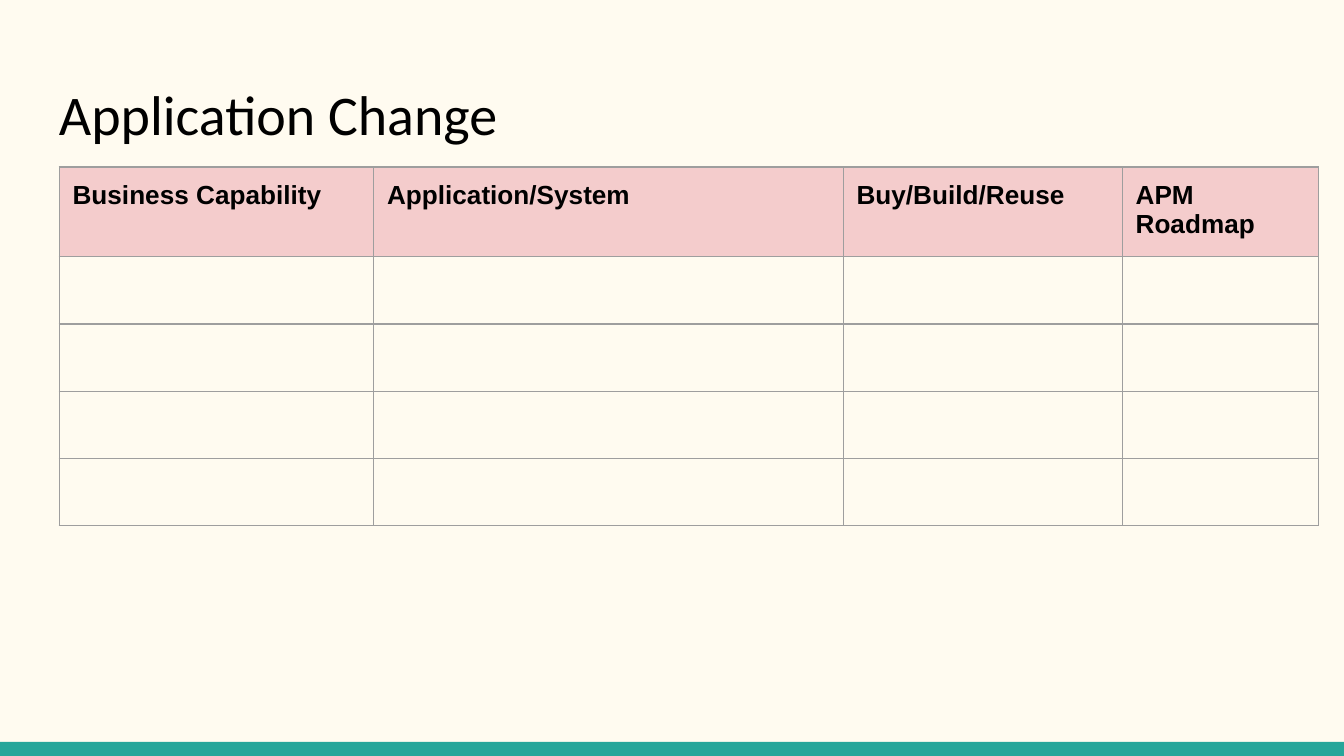
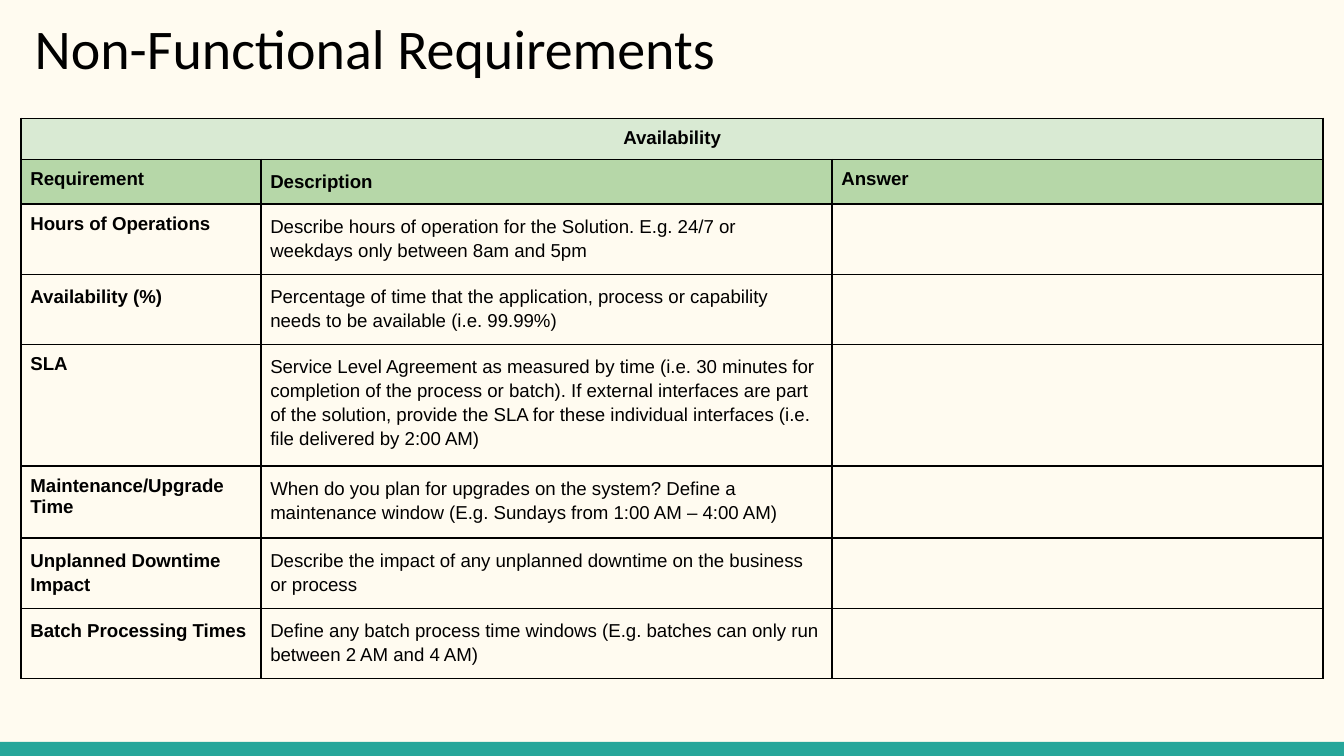
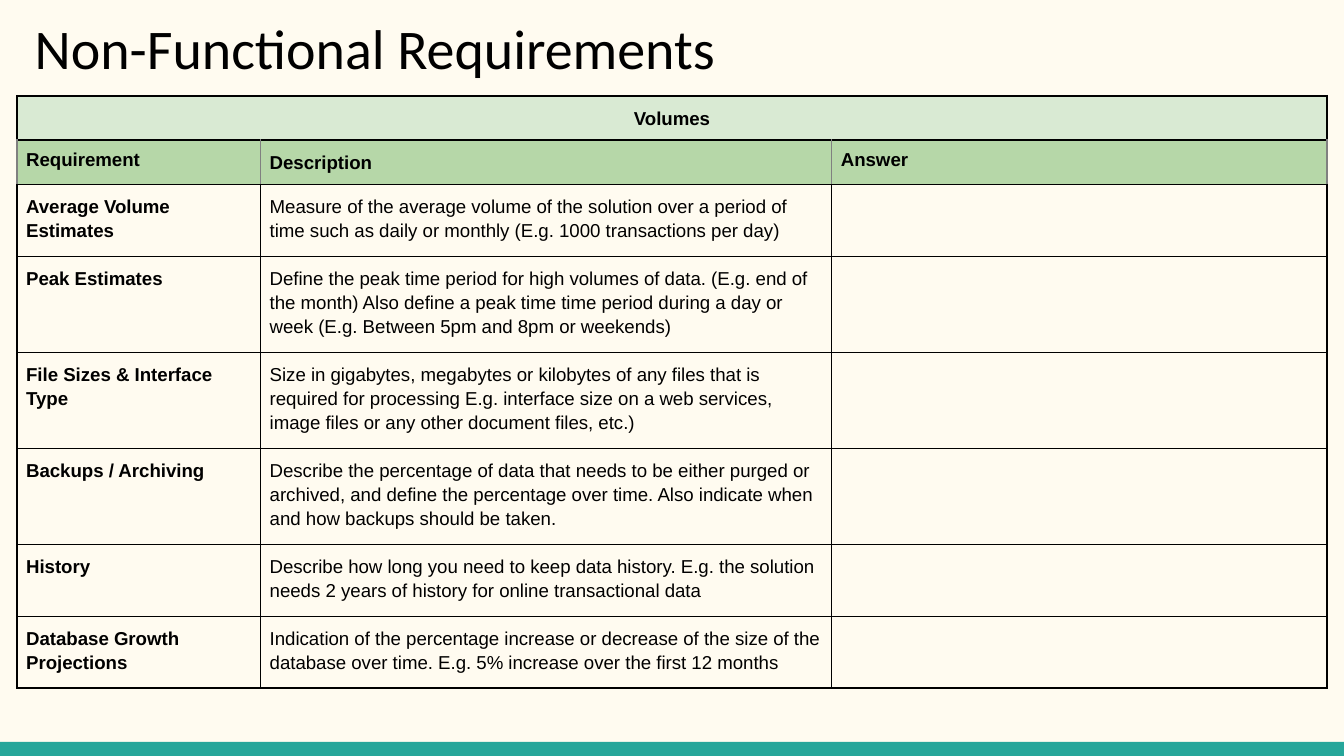
import pptx
import pptx.util
import pptx.dml.color
import pptx.enum.shapes
import pptx.enum.text
import pptx.oxml.ns
import lxml.etree

Pt = pptx.util.Pt
HUES = {
    "page": "FFFBF0", "band": "26A69A", "ink": "000000", "rose": "F4CCCC",
    "mint": "D9EAD3", "leaf": "B6D7A8", "ash": "9E9E9E", "gray": "808080",
}
WIDE, HIGH, BAND = 720, 405, 7.5
HEADS = ["Requirement", "Description", "Answer"]
SINGLE = {"Requirement", "Answer", "Availability", "Hours of Operations", "SLA",
          "Maintenance/Upgrade Time"}

CHANGE = ["Business Capability", "Application/System", "Buy/Build/Reuse", "APM Roadmap"]
UPTIME = [
    ("Hours of Operations", "Describe hours of operation for the Solution. E.g. 24/7 or "
     "weekdays only between 8am and 5pm"),
    ("Availability (%)", "Percentage of time that the application, process or capability "
     "needs to be available (i.e. 99.99%)"),
    ("SLA", "Service Level Agreement as measured by time (i.e. 30 minutes for completion of "
     "the process or batch). If external interfaces are part of the solution, provide the "
     "SLA for these individual interfaces (i.e. file delivered by 2:00 AM)"),
    ("Maintenance/Upgrade Time", "When do you plan for upgrades on the system? Define a "
     "maintenance window (E.g. Sundays from 1:00 AM – 4:00 AM)"),
    ("Unplanned Downtime Impact", "Describe the impact of any unplanned downtime on the "
     "business or process"),
    ("Batch Processing Times", "Define any batch process time windows (E.g. batches can only "
     "run between 2 AM and 4 AM)"),
]
VOLUMES = [
    ("Average Volume Estimates", "Measure of the average volume of the solution over a period "
     "of time such as daily or monthly (E.g. 1000 transactions per day)"),
    ("Peak Estimates", "Define the peak time period for high volumes of data. (E.g. end of "
     "the month) Also define a peak time time period during a day or week (E.g. Between 5pm "
     "and 8pm or weekends)"),
    ("File Sizes & Interface Type", "Size in gigabytes, megabytes or kilobytes of any files "
     "that is required for processing E.g. interface size on a web services, image files or "
     "any other document files, etc.)"),
    ("Backups / Archiving", "Describe the percentage of data that needs to be either purged "
     "or archived, and define the percentage over time. Also indicate when and how backups "
     "should be taken."),
    ("History", "Describe how long you need to keep data history. E.g. the solution needs 2 "
     "years of history for online transactional data"),
    ("Database Growth Projections", "Indication of the percentage increase or decrease of the "
     "size of the database over time. E.g. 5% increase over the first 12 months"),
]


def color(name):
    """Return the named colour."""
    return pptx.dml.color.RGBColor.from_string(HUES[name])


def pad(part, gap):
    """Set all four margins of a cell or text frame."""
    for side in ("left", "right", "top", "bottom"):
        setattr(part, "margin_" + side, Pt(gap))


def style(para, face, size, bold=False):
    """Format the runs of a paragraph."""
    for run in para.runs:
        run.font.name, run.font.size, run.font.bold = face, Pt(size), bold
        run.font.color.rgb = color("ink")


def edge(cell, hue, width, sides="LRTB"):
    """Draw the borders of a cell on the given sides."""
    props = cell._tc.get_or_add_tcPr()
    for side in sides:
        line = lxml.etree.SubElement(props, pptx.oxml.ns.qn("a:ln" + side), w=str(Pt(width)))
        solid = lxml.etree.SubElement(line, pptx.oxml.ns.qn("a:solidFill"))
        lxml.etree.SubElement(solid, pptx.oxml.ns.qn("a:srgbClr"), val=HUES[hue])


def paint(cell, hue=None):
    """Fill a cell, or leave it clear."""
    if hue:
        cell.fill.solid()
        cell.fill.fore_color.rgb = color(hue)
    else:
        cell.fill.background()


def page(deck, title, left, top):
    """Add a slide with background, bottom band and title."""
    slide = deck.slides.add_slide(deck.slide_layouts[6])
    slide.background.fill.solid()
    slide.background.fill.fore_color.rgb = color("page")
    band = slide.shapes.add_shape(pptx.enum.shapes.MSO_SHAPE.RECTANGLE,
                                  0, Pt(HIGH - BAND), Pt(WIDE), Pt(BAND))
    band.shadow.inherit = False
    band.fill.solid()
    band.fill.fore_color.rgb = color("band")
    band.line.fill.background()
    frame = slide.shapes.add_textbox(Pt(left), Pt(top), Pt(671), Pt(48.2)).text_frame
    frame.word_wrap = True
    pad(frame, 7.2)
    frame.text = title
    style(frame.paragraphs[0], "Calibri", 30)
    return slide


def grid(slide, left, top, cols, rows):
    """Add a plain table with the given column widths and row heights."""
    table = slide.shapes.add_table(len(rows), len(cols), Pt(left), Pt(top),
                                   Pt(sum(cols)), Pt(sum(rows))).table
    table.first_row = table.horz_banding = False
    for col, width in zip(table.columns, cols):
        col.width = Pt(width)
    for row, height in zip(table.rows, rows):
        row.height = Pt(height)
    return table


def change(deck):
    """Build the application change slide."""
    slide = page(deck, "Application Change", 24.5, 35.3)
    table = grid(slide, 31.7, 89.5, [168.5, 251.5, 149.5, 105], [35.2] * 5)
    for num, row in enumerate(table.rows):
        for cell, text in zip(row.cells, CHANGE):
            pad(cell, 7.2)
            edge(cell, "ash", 0.75)
            paint(cell, None if num else "rose")
            if num == 0:
                cell.text_frame.text = text
                style(cell.text_frame.paragraphs[0], "Arial", 14, True)


def needs(deck, topic, items, left, top, cols, rows, rule):
    """Build a requirements slide with a topic row, a head row and items."""
    slide = page(deck, "Non-Functional Requirements", 11.5, 0)
    table = grid(slide, left, top, cols, rows)
    lines = [[topic], HEADS] + items
    for num, (row, texts) in enumerate(zip(table.rows, lines)):
        for cell in row.cells:
            pad(cell, 5)
            if num == 1:
                edge(cell, rule, 1, "LR")
                edge(cell, "ink", 1, "TB")
            else:
                edge(cell, "ink", 1)
            paint(cell, ("mint", "leaf")[num] if num < 2 else None)
        for col, text in enumerate(texts):
            frame = row.cells[col].text_frame
            frame.text = text
            para = frame.paragraphs[0]
            style(para, "Arial", 10, num < 2 or col == 0)
            if text not in SINGLE:
                para.line_spacing = 1.15
    table.cell(0, 0).merge(table.cell(0, len(cols) - 1))
    table.cell(0, 0).text_frame.paragraphs[0].alignment = pptx.enum.text.PP_ALIGN.CENTER


def main():
    """Build and save the deck."""
    deck = pptx.Presentation()
    deck.slide_width, deck.slide_height = Pt(WIDE), Pt(HIGH)
    change(deck)
    needs(deck, "Availability", UPTIME, 11.3, 63.5, [128.5, 306, 263],
          [18, 19.5, 37.5, 34.5, 62.5, 38.5, 34.5, 34.5], "ink")
    needs(deck, "Volumes", VOLUMES, 9, 51.3, [130.5, 306, 265.5],
          [21.5, 21.5, 38.5, 50.5, 47, 38.5, 38.5, 38.5], "gray")
    deck.save("out.pptx")


if __name__ == "__main__":
    main()
